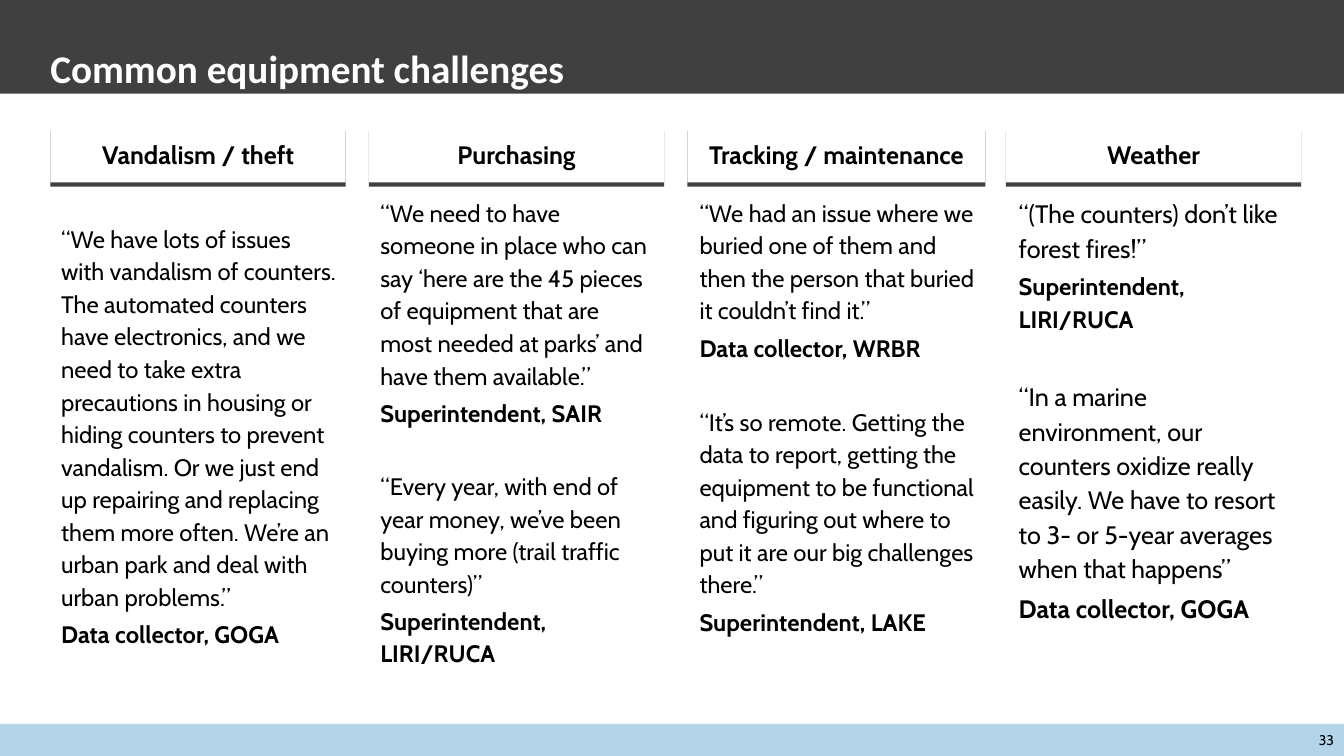
import pptx
import pptx.util
import pptx.dml.color
import pptx.enum.shapes
import pptx.enum.text
import pptx.oxml
import pptx.oxml.ns
from pptx.util import Pt

Align = pptx.enum.text.PP_ALIGN
Anchor = pptx.enum.text.MSO_ANCHOR

TITLE = "Common equipment challenges"
PAGE_NUMBER = "33"
# Each quote: words, speaker, quote size, speaker size
CHALLENGES = [
    {"heading": "Vandalism / theft", "width": 211, "quotes_top": 154, "quote_gap": 0,
     "quotes": [
         ("“We have lots of issues with vandalism of counters. The automated counters have "
          "electronics, and we need to take extra precautions in housing or hiding counters to "
          "prevent vandalism. Or we just end up repairing and replacing them more often. We’re an "
          "urban park and deal with urban problems.”", "Data collector, GOGA", 17, 17)]},
    {"heading": "Purchasing", "width": 211, "quotes_top": 135.4, "quote_gap": 29,
     "quotes": [
         ("“We need to have someone in place who can say ‘here are the 45 pieces of equipment that "
          "are most needed at parks’ and have them available.”", "Superintendent, SAIR", 17, 17),
         ("“Every year, with end of year money, we’ve been buying more (trail traffic counters)”",
          "Superintendent, LIRI/RUCA", 17, 17)]},
    {"heading": "Tracking / maintenance", "width": 213, "quotes_top": 135.4, "quote_gap": 29.6,
     "quotes": [
         ("“We had an issue where we buried one of them and then the person that buried it "
          "couldn’t find it.”", "Data collector, WRBR", 17, 17),
         ("“It’s so remote. Getting the data to report, getting the equipment to be functional and "
          "figuring out where to put it are our big challenges there.”",
          "Superintendent, LAKE", 17, 17)]},
    {"heading": "Weather", "width": 211, "quotes_top": 135.4, "quote_gap": 31.4,
     "quotes": [
         ("“(The counters) don’t like forest fires!”", "Superintendent, LIRI/RUCA", 18, 17),
         ("“In a marine environment, our counters oxidize really easily. We have to resort to "
          "3- or 5-year averages when that happens”", "Data collector, GOGA", 18, 18)]},
]

SLIDE_WIDTH, SLIDE_HEIGHT = 960, 540
MARGIN = 36
HEADING_PITCH, QUOTES_PITCH = 227.5, 228
HEADING_TOP, HEADING_HEIGHT = 90.7, 39.6
QUOTES_WIDTH, QUOTES_HEIGHT = 211, 364
FOOTER_TOP = 517
DARK, BLUE, WHITE, BLACK = "404040", "82BADB", "FFFFFF", "000000"

deck = pptx.Presentation()
deck.slide_width, deck.slide_height = Pt(SLIDE_WIDTH), Pt(SLIDE_HEIGHT)
slide = deck.slides.add_slide(deck.slide_layouts[6])


def color(value):
    return pptx.dml.color.RGBColor.from_string(value)


def add_rect(left, top, width, height, fill):
    rect = slide.shapes.add_shape(pptx.enum.shapes.MSO_SHAPE.RECTANGLE,
                                  Pt(left), Pt(top), Pt(width), Pt(height))
    rect.shadow.inherit = False
    rect.fill.solid()
    rect.fill.fore_color.rgb = color(fill)
    rect.line.fill.background()
    return rect


def add_text_frame(left, top, width, height, anchor):
    frame = slide.shapes.add_textbox(Pt(left), Pt(top), Pt(width), Pt(height)).text_frame
    frame.word_wrap = True
    frame.vertical_anchor = anchor
    return frame


def style(font, size, bold=False, tint=BLACK, face="Cabin"):
    font.name, font.size, font.bold = face, Pt(size), bold
    font.color.rgb = color(tint)


def cast_hard_shadow(shape):
    """Give the shape a sharp dark edge 3 points below it."""
    shadow = pptx.oxml.parse_xml(
        f'<a:outerShdw {pptx.oxml.ns.nsdecls("a")} blurRad="0" dist="38100" dir="5400000" '
        f'algn="t" rotWithShape="0"><a:srgbClr val="{DARK}"/></a:outerShdw>')
    shape.element.spPr.find(pptx.oxml.ns.qn("a:effectLst")).append(shadow)


def add_heading(left, challenge):
    heading = add_rect(left, HEADING_TOP, challenge["width"], HEADING_HEIGHT, WHITE)
    cast_hard_shadow(heading)
    heading.text_frame.vertical_anchor = Anchor.MIDDLE
    paragraph = heading.text_frame.paragraphs[0]
    paragraph.text = challenge["heading"]
    paragraph.alignment = Align.CENTER
    style(paragraph.runs[0].font, 18, bold=True)


def add_quotes(left, challenge):
    frame = add_text_frame(left, challenge["quotes_top"], QUOTES_WIDTH, QUOTES_HEIGHT, Anchor.TOP)
    for index, (words, speaker, words_size, speaker_size) in enumerate(challenge["quotes"]):
        quote = frame.add_paragraph() if index else frame.paragraphs[0]
        quote.text = words
        quote.line_spacing = 1.14
        quote.space_before = Pt(challenge["quote_gap"] if index else 0)
        style(quote.runs[0].font, words_size)
        credit = frame.add_paragraph()
        credit.text = speaker
        credit.line_spacing = 1.14
        credit.space_before = Pt(0.2 * speaker_size)
        style(credit.runs[0].font, speaker_size, bold=True)


add_rect(0, 0, SLIDE_WIDTH, 67, DARK)
footer = add_rect(0, FOOTER_TOP, SLIDE_WIDTH, SLIDE_HEIGHT - FOOTER_TOP, BLUE)
footer_color = footer.element.spPr.find(".//" + pptx.oxml.ns.qn("a:srgbClr"))
footer_color.append(pptx.oxml.parse_xml(
    f'<a:alpha {pptx.oxml.ns.nsdecls("a")} val="60000"/>'))

title = add_text_frame(MARGIN, 1.4, 831, 64, Anchor.BOTTOM)
title.margin_left = title.margin_bottom = 0
title.text = TITLE
style(title.paragraphs[0].runs[0].font, 28, bold=True, tint=WHITE, face="Calibri")

page = add_text_frame(736, 518.4, 224, 20, Anchor.MIDDLE)
page.text = PAGE_NUMBER
page.paragraphs[0].alignment = Align.RIGHT
style(page.paragraphs[0].runs[0].font, 10)

for column, challenge in enumerate(CHALLENGES):
    add_quotes(MARGIN + 0.6 + column * QUOTES_PITCH, challenge)
    add_heading(MARGIN + column * HEADING_PITCH, challenge)

deck.save("out.pptx")
